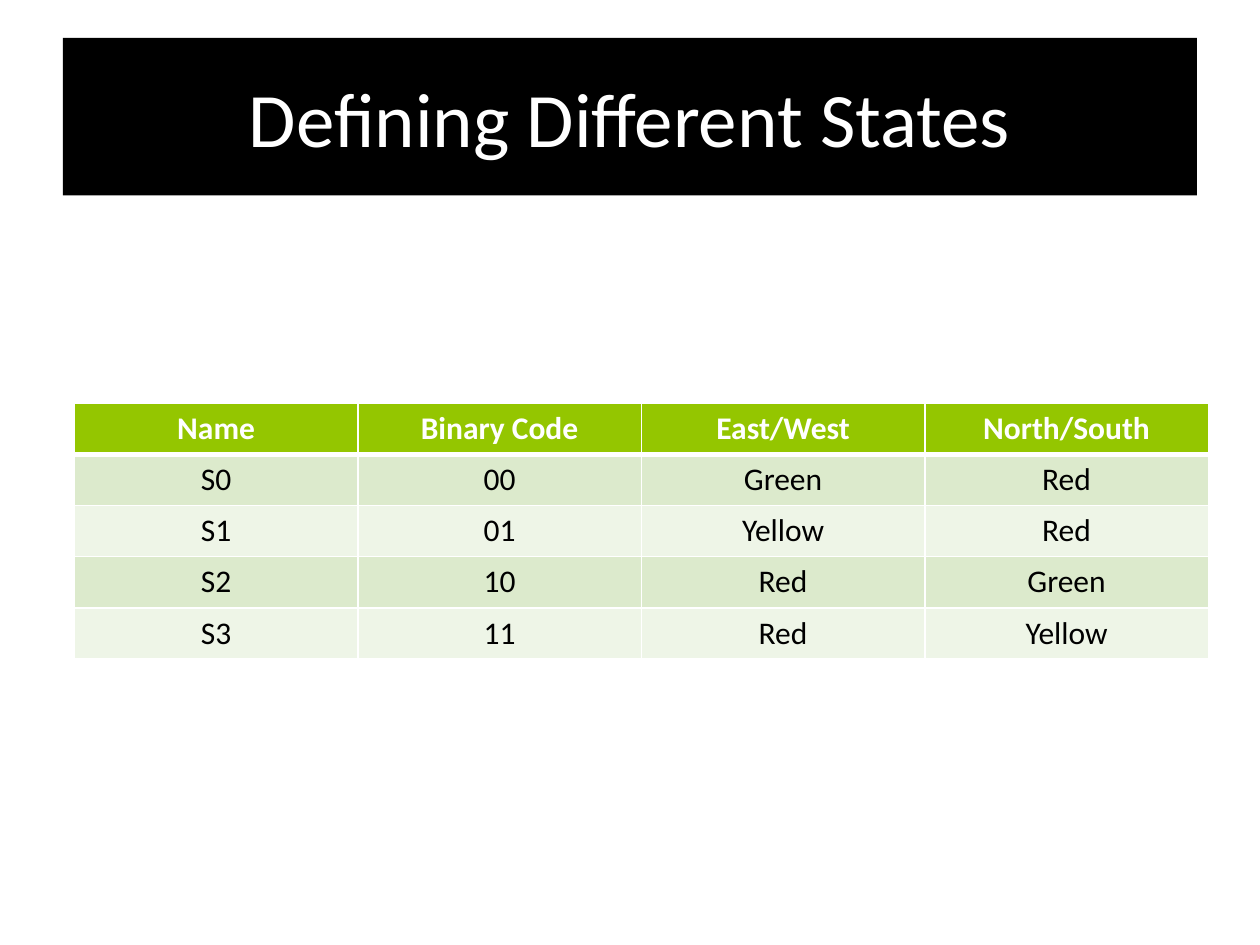
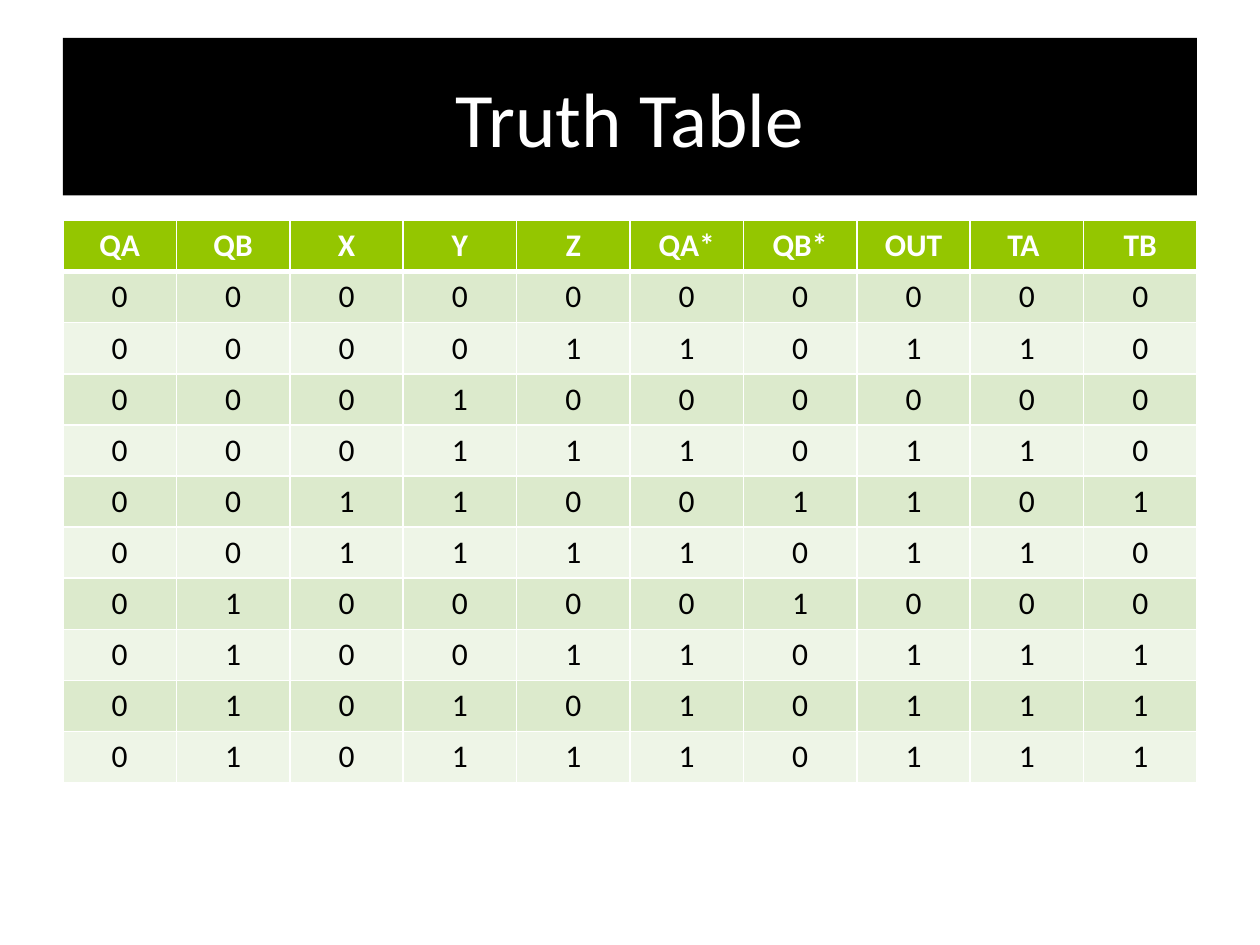
from collections.abc import Sequence
from dataclasses import dataclass

from lxml import etree
from pptx import Presentation
from pptx.dml.color import RGBColor
from pptx.enum.shapes import MSO_SHAPE
from pptx.enum.text import MSO_ANCHOR, PP_ALIGN
from pptx.oxml.ns import qn
from pptx.util import Inches, Pt

# Shared look
RECTANGLE = MSO_SHAPE.RECTANGLE
CENTER = PP_ALIGN.CENTER
MIDDLE = MSO_ANCHOR.MIDDLE
BLACK = RGBColor(0x00, 0x00, 0x00)
WHITE = RGBColor(0xFF, 0xFF, 0xFF)
HEADER_GREEN = RGBColor(0x94, 0xC6, 0x00)
BAND_GREENS = (RGBColor(0xDC, 0xEA, 0xCC), RGBColor(0xEE, 0xF5, 0xE7))
FONT = "Calibri"
TITLE_FORMAT = {"name": FONT, "size": Pt(44), "bold": False}
HEADER_FORMAT = {"name": FONT, "size": Pt(18), "bold": True}
BODY_FORMAT = {**HEADER_FORMAT, "bold": False}
THIN, THICK = Pt(1), Pt(3)
HEADER_BORDERS = {"a:lnL": THIN, "a:lnR": THIN, "a:lnT": THIN, "a:lnB": THICK}
BODY_BORDERS = {"a:lnL": THIN, "a:lnR": THIN, "a:lnB": THIN}


@dataclass(frozen=True)
class TableSlide:
    title: str
    left: float
    top: float
    width: float
    height: float
    header: Sequence[str]
    body: Sequence[Sequence[str]]


SLIDES = (
    TableSlide(
        "Defining Different States", 0.59, 3.2, 9, 2.03,
        ("Name", "Binary Code", "East/West", "North/South"),
        (
            ("S0", "00", "Green", "Red"),
            ("S1", "01", "Yellow", "Red"),
            ("S2", "10", "Red", "Green"),
            ("S3", "11", "Red", "Yellow"),
        ),
    ),
    TableSlide(
        "Truth Table", 0.5, 1.75, 9, 4.46,
        ("QA", "QB", "X", "Y", "Z", "QA*", "QB*", "OUT", "TA ", "TB"),
        # One digit per column
        (
            "0000000000",
            "0000110110",
            "0001000000",
            "0001110110",
            "0011001101",
            "0011110110",
            "0100001000",
            "0100110111",
            "0101010111",
            "0101110111",
        ),
    ),
)


def write_text(frame, text: str, font_format: dict, color: RGBColor) -> None:
    paragraph = frame.paragraphs[0]
    paragraph.alignment = CENTER
    run = paragraph.add_run()
    run.text = text
    for attribute, value in font_format.items():
        setattr(run.font, attribute, value)
    run.font.color.rgb = color


def add_title(slide, text: str) -> None:
    band = slide.shapes.add_shape(
        RECTANGLE, Inches(0.5), Inches(0.3), Inches(9), Inches(1.25))
    band.shadow.inherit = False
    band.fill.solid()
    band.fill.fore_color.rgb = BLACK
    band.line.fill.background()
    band.text_frame.word_wrap = True
    band.text_frame.vertical_anchor = MIDDLE
    write_text(band.text_frame, text, TITLE_FORMAT, WHITE)


def set_borders(cell, borders: dict) -> None:
    properties = cell._tc.get_or_add_tcPr()
    for side, width in borders.items():
        line = etree.SubElement(properties, qn(side), w=str(int(width)))
        fill = etree.SubElement(line, qn("a:solidFill"))
        etree.SubElement(fill, qn("a:srgbClr"), val=str(WHITE))


def add_grid(slide, content: TableSlide) -> None:
    rows = (content.header, *content.body)
    grid = slide.shapes.add_table(
        len(rows), len(content.header),
        Inches(content.left), Inches(content.top),
        Inches(content.width), Inches(content.height)).table
    for row_index, row in enumerate(rows):
        is_header = row_index == 0
        fill = HEADER_GREEN if is_header else BAND_GREENS[(row_index - 1) % 2]
        font_format = HEADER_FORMAT if is_header else BODY_FORMAT
        for column_index, text in enumerate(row):
            cell = grid.cell(row_index, column_index)
            # Borders come before the fill in the cell properties
            set_borders(cell, HEADER_BORDERS if is_header else BODY_BORDERS)
            cell.fill.solid()
            cell.fill.fore_color.rgb = fill
            write_text(cell.text_frame, text, font_format,
                       WHITE if is_header else BLACK)


# Build the slides
presentation = Presentation()
presentation.slide_width = Inches(10)
presentation.slide_height = Inches(7.5)
blank_layout = presentation.slide_layouts[6]
for content in SLIDES:
    slide = presentation.slides.add_slide(blank_layout)
    add_title(slide, content.title)
    add_grid(slide, content)
presentation.save("out.pptx")
